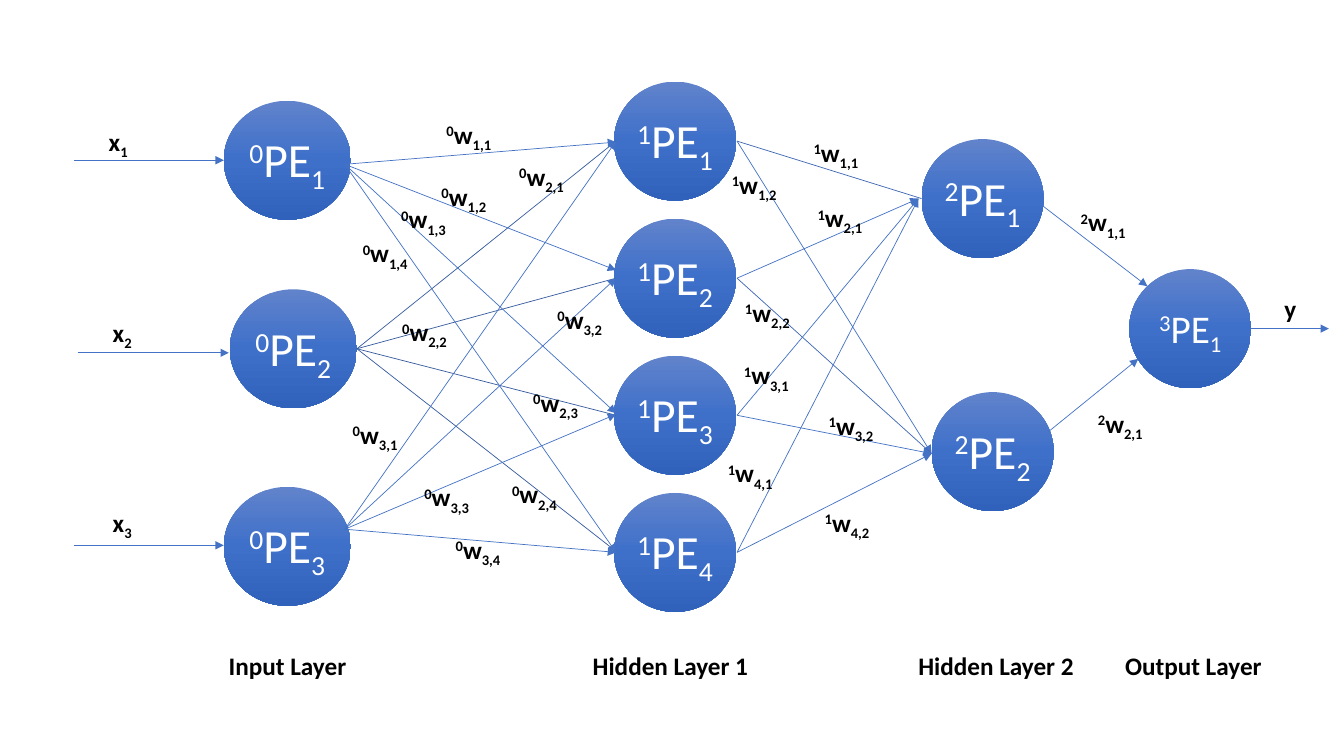
from copy import deepcopy

from lxml.etree import SubElement
from pptx import Presentation
from pptx.dml.color import RGBColor
from pptx.enum.shapes import MSO_CONNECTOR as Connector, MSO_SHAPE as Shape
from pptx.enum.text import MSO_ANCHOR as Anchor, MSO_AUTO_SIZE as AutoSize, PP_ALIGN as Align
from pptx.oxml.ns import qn
from pptx.util import Inches, Pt

BLACK = RGBColor(0x00, 0x00, 0x00)
WHITE = RGBColor(0xFF, 0xFF, 0xFF)
ARROW_BLUE = RGBColor(0x44, 0x72, 0xC4)
INPUT_BLUE = RGBColor(0x36, 0x5B, 0x9D)
HIDDEN_BLUE = RGBColor(0x3E, 0x67, 0xB2)
NODE_STOPS = [(0, RGBColor(0x61, 0x83, 0xCB)), (0.5, RGBColor(0x3E, 0x70, 0xCA)),
              (1, RGBColor(0x30, 0x62, 0xBB))]

deck = Presentation()
deck.slide_width, deck.slide_height = Inches(13.33), Inches(7.5)
page = deck.slides.add_slide(deck.slide_layouts[6])

# The slide is a grid of square cells, 13.33 columns by 7.5 rows.
COLUMN = deck.slide_width / 13.33
ROW = deck.slide_height / 7.5


def write(para, before, letter, after, size=18, color=BLACK, bold=True):
    """Write a letter with a superscript before it and a subscript after it."""
    for text, baseline in ((before, 30000), (letter, 0), (after, -25000)):
        if text:
            span = para.add_run()
            span.text = text
            span.font.name, span.font.size = "Calibri", Pt(size)
            span.font.bold, span.font.color.rgb = bold, color
            span._r.get_or_add_rPr().set("baseline", str(baseline))


def connect(start, end, color=ARROW_BLUE, head=True):
    """Draw a thin line between two grid points, with an arrowhead if wanted."""
    (left, top), (right, bottom) = start, end
    link = page.shapes.add_connector(
        Connector.STRAIGHT, int(left * COLUMN), int(top * ROW),
        int(right * COLUMN), int(bottom * ROW))
    link.line.color.rgb, link.line.width = color, Pt(0.5)
    properties = link.element.spPr
    if head:
        SubElement(properties.find(qn("a:ln")), qn("a:tailEnd"), type="triangle")
    SubElement(properties, qn("a:effectLst"))


# Processing elements: per layer, the width, text size and corner of each node
HIDDEN_PITCH = 1.36
LAYERS = [
    (1.26, 34, [(2.22, 1), (2.28, 2.87), (2.22, 4.83)]),
    (1.21, 34, [(6.09, 0.81 + HIDDEN_PITCH * index) for index in range(4)]),
    (1.21, 34, [(9.14, 1.38), (9.24, 3.89)]),
    (1.21, 28, [(11.2, 2.67)]),
]
for layer, (width, size, corners) in enumerate(LAYERS):
    for number, (left, top) in enumerate(corners, 1):
        node = page.shapes.add_shape(Shape.OVAL, int(left * COLUMN), int(top * ROW),
                                     int(width * COLUMN), int(1.18 * ROW))
        node.shadow.inherit = False
        node.line.fill.background()
        node.fill.gradient()
        node.fill.gradient_angle = 270
        stops = node.element.spPr.find(qn("a:gradFill")).find(qn("a:gsLst"))
        stops.insert(1, deepcopy(stops[0]))
        for stop, (position, color) in zip(node.fill.gradient_stops, NODE_STOPS):
            stop.position, stop.color.rgb = position, color
        frame = node.text_frame
        frame.word_wrap, frame.vertical_anchor = True, Anchor.MIDDLE
        frame.margin_left = frame.margin_right = Inches(0.02)
        frame.margin_top = frame.margin_bottom = Inches(0.02)
        para = frame.paragraphs[0]
        para.alignment, para.line_spacing = Align.CENTER, 0.9
        write(para, str(layer), "PE", str(number), size=size, color=WHITE, bold=False)

# Input layer to hidden layer 1: start point and the four arrival heights
INPUT_FANS = [
    ((3.54, 3.46), [1.4, 2.76, 4.12, 5.47], INPUT_BLUE, False),
    ((3.42, 1.63), [1.41, 2.68, 4.1, 5.48], ARROW_BLUE, True),
    ((3.42, 5.25), [1.4, 2.76, 4.11, 5.48], ARROW_BLUE, True),
]
for start, heights, color, head in INPUT_FANS:
    for height in heights:
        connect(start, (6.11, height), color, head)

# Hidden layer 1 to hidden layer 2: two of the links have no arrowhead
for source in range(4):
    for target, end in enumerate([(9.11, 1.97), (9.24, 4.5)]):
        plain = source == target
        if plain and target == 0:
            end = (9.14, 1.97)
        connect((7.31, 1.4 + HIDDEN_PITCH * source), end,
                HIDDEN_BLUE if plain else ARROW_BLUE, not plain)

# Hidden layer 2 to the output, the output itself and the three inputs
for start, end in [
    ((10.3, 2.01), (11.38, 2.84)), ((10.39, 4.29), (11.29, 3.56)),
    ((12.41, 3.26), (13.18, 3.26)), ((0.73, 1.59), (2.22, 1.59)),
    ((0.77, 3.5), (2.27, 3.5)), ((0.73, 5.41), (2.22, 5.41)),
]:
    connect(start, end)

# Corners of the weight labels, by layer and by "from,to"
WEIGHTS = {
    "0": {"1,1": (4.33, 1.13), "1,2": (4.28, 1.75), "1,3": (3.88, 1.97), "1,4": (3.5, 2.31),
          "2,1": (5.05, 1.55), "2,2": (3.89, 3.09), "2,3": (5.19, 3.79), "2,4": (4.98, 4.7),
          "3,1": (3.4, 4.11), "3,2": (5.43, 2.97), "3,3": (4.11, 4.73), "3,4": (4.42, 5.25)},
    "1": {"1,1": (7.97, 1.31), "1,2": (7.16, 1.63), "2,1": (8.01, 1.96), "2,2": (7.29, 2.9),
          "3,1": (7.28, 3.52), "3,2": (8.12, 4.02), "4,1": (7.12, 4.49), "4,2": (8.08, 4.98)},
    "2": {"1,1": (10.62, 2), "2,1": (10.79, 4)},
}
LAYER_NAMES = "\tInput Layer\tHidden Layer 1\tHidden Layer 2\tOutput Layer"
LAYER_TABS = [1.44, 5.05, 8.28, 10.33]

labels = [(corner, 0.88, (layer, "w", ends))
          for layer, places in WEIGHTS.items() for ends, corner in places.items()]
labels += [
    ((0.98, 1.2), 0.54, ("", "x", "1")),
    ((1.02, 3.1), 0.54, ("", "x", "2")),
    ((1.02, 4.98), 0.54, ("", "x", "3")),
    ((12.64, 2.86), 0.44, ("", "y", "")),
    ((0.73, 6.4), 12.45, ("", LAYER_NAMES, "")),
]
for (left, top), width, parts in labels:
    box = page.shapes.add_textbox(int(left * COLUMN), int(top * ROW),
                                  int(width * COLUMN), int(0.4 * ROW))
    box.text_frame.word_wrap = True
    box.text_frame.auto_size = AutoSize.SHAPE_TO_FIT_TEXT
    para = box.text_frame.paragraphs[0]
    write(para, *parts)

# The last box holds the layer names, each at its own tab stop
tab_list = SubElement(para._p.get_or_add_pPr(), qn("a:tabLst"))
for tab in LAYER_TABS:
    SubElement(tab_list, qn("a:tab"), pos=str(int(tab * COLUMN)), algn="l")

deck.save("out.pptx")
